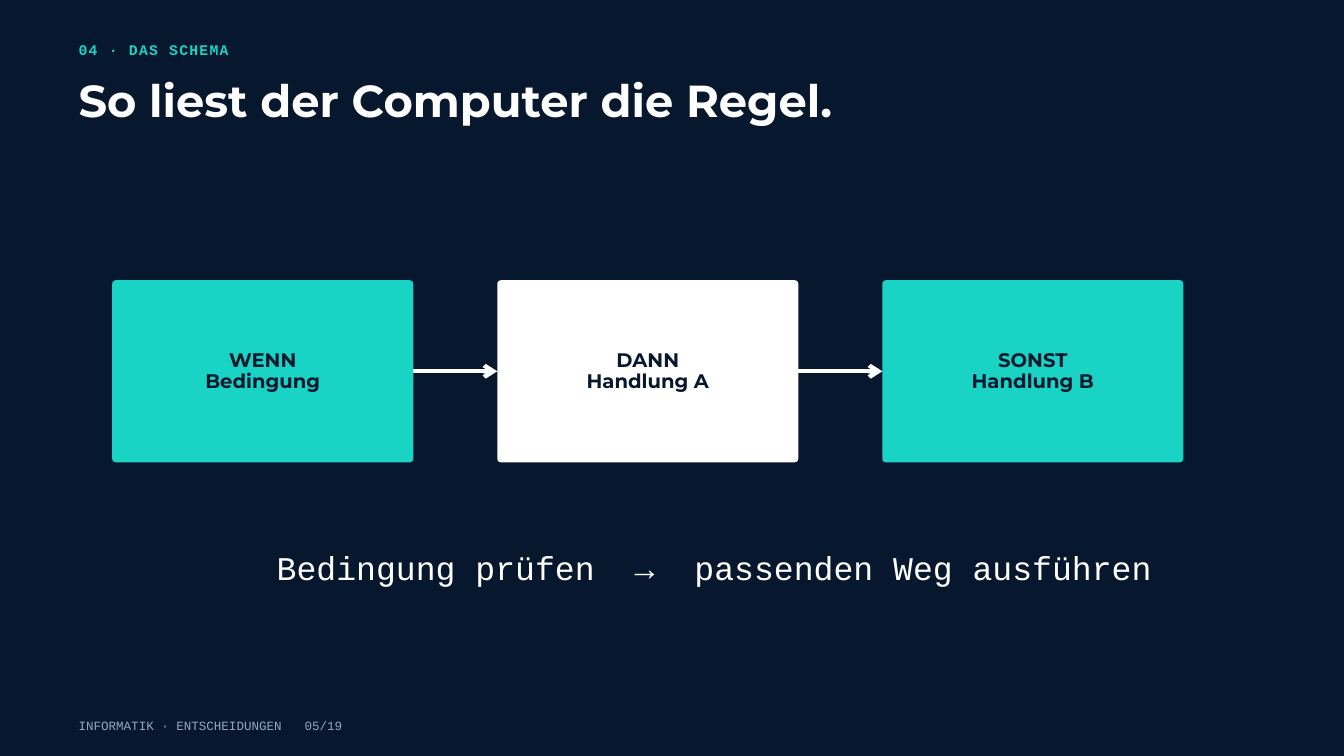
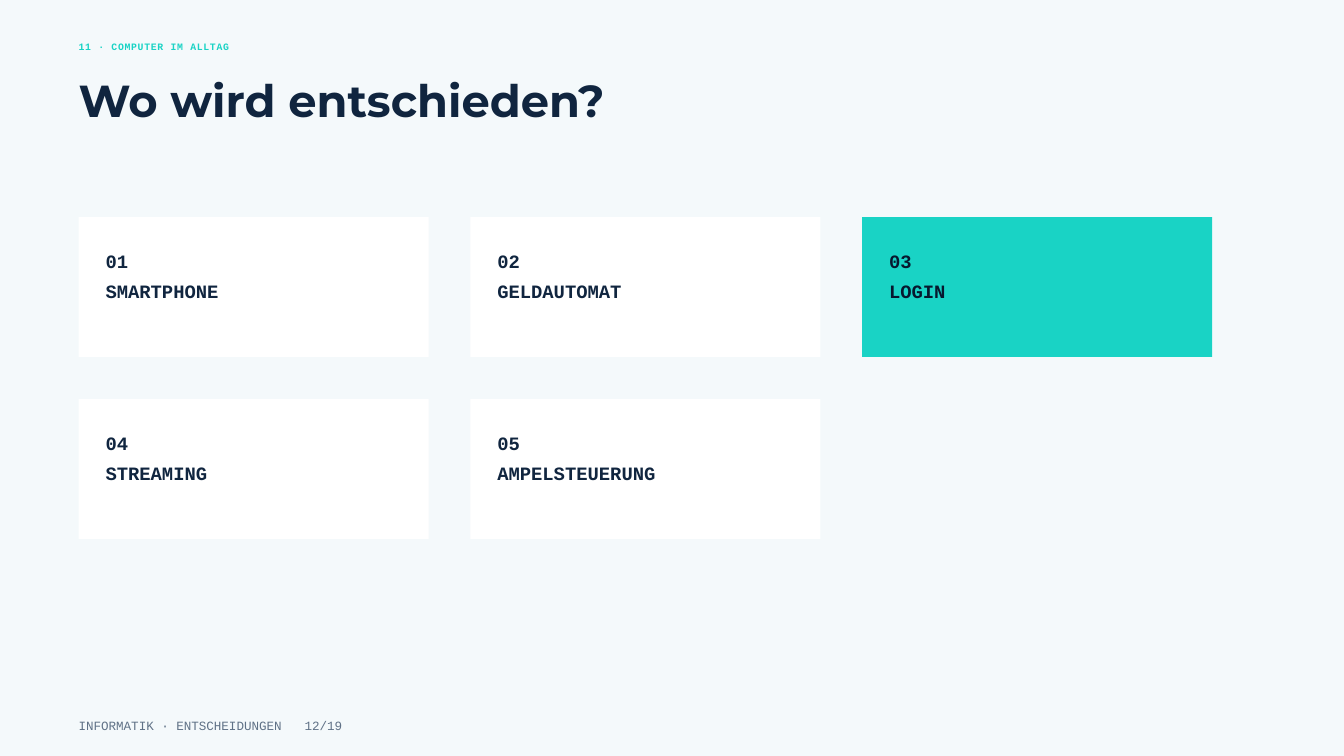
import pptx
import pptx.util
import pptx.dml.color
import pptx.enum.shapes
import pptx.enum.text
from lxml import etree
from pptx.oxml.ns import qn

Inches, Pt = pptx.util.Inches, pptx.util.Pt
RGBColor = pptx.dml.color.RGBColor
MSO_SHAPE = pptx.enum.shapes.MSO_SHAPE
PP_ALIGN = pptx.enum.text.PP_ALIGN
MSO_ANCHOR = pptx.enum.text.MSO_ANCHOR

NAVY = RGBColor(0x07, 0x18, 0x2E)
INK = RGBColor(0x10, 0x25, 0x3F)
TEAL = RGBColor(0x19, 0xD3, 0xC5)
WHITE = RGBColor(0xFF, 0xFF, 0xFF)
PALE = RGBColor(0xF4, 0xF9, 0xFB)
MIST = RGBColor(0x8F, 0xA9, 0xBE)
SLATE = RGBColor(0x5F, 0x71, 0x86)
HEADING_FONT, CODE_FONT = "Montserrat", "Courier New"
LEFT = 1.17


def write(shape, text, *, size, color, leading, font=CODE_FONT, bold=False,
          align=PP_ALIGN.LEFT, anchor=MSO_ANCHOR.TOP, inset=(0, 0),
          tracking=0, gap=0):
    """Fill a shape with one paragraph per line; each | is a space widened by gap points."""
    frame = shape.text_frame
    frame.word_wrap = True
    frame.auto_size = pptx.enum.text.MSO_AUTO_SIZE.NONE
    frame.vertical_anchor = anchor
    frame.margin_left = frame.margin_right = Inches(inset[0])
    frame.margin_top = frame.margin_bottom = Inches(inset[1])
    for index, line in enumerate(text.split("\n")):
        paragraph = frame.add_paragraph() if index else frame.paragraphs[0]
        paragraph.alignment = align
        paragraph.line_spacing = Pt(leading)
        paragraph.space_before = paragraph.space_after = Pt(0)
        for part_index, part in enumerate(line.split("|")):
            pieces = [(" ", gap)] if part_index else []
            for piece, spacing in pieces + [(part, tracking)]:
                run = paragraph.add_run()
                run.text = piece
                run.font.name, run.font.size = font, Pt(size)
                run.font.bold, run.font.color.rgb = bold, color
                if spacing:
                    run.font._element.set("spc", str(round(spacing * 100)))


def add_card(slide, kind, left, top, width, height, color):
    card = slide.shapes.add_shape(kind, Inches(left), Inches(top), Inches(width), Inches(height))
    card.shadow.inherit = False
    card.fill.solid()
    card.fill.fore_color.rgb = color
    card.line.fill.background()
    return card


deck = pptx.Presentation()
deck.slide_width, deck.slide_height = Inches(20), Inches(11.25)

# Shared frame: background, section label, title and footer
frames = [
    dict(background=NAVY, section="04 · DAS SCHEMA", section_size=15.8, section_leading=22,
         tracking=1.3, title="So liest der Computer die Regel.", title_color=WHITE,
         number="05/19", footer_color=MIST),
    dict(background=PALE, section="11 · COMPUTER IM ALLTAG", section_size=10.5,
         section_leading=14.7, tracking=0.8, title="Wo wird entschieden?",
         title_color=INK, number="12/19", footer_color=SLATE),
]
slides = []
for frame in frames:
    slide = deck.slides.add_slide(deck.slide_layouts[5])
    slide.background.fill.solid()
    slide.background.fill.fore_color.rgb = frame["background"]

    section = slide.shapes.add_textbox(Inches(LEFT), Inches(0.57), Inches(2.3), Inches(0.29))
    write(section, frame["section"], size=frame["section_size"], color=TEAL, bold=True,
          leading=frame["section_leading"], tracking=frame["tracking"])

    title = slide.shapes.title
    title.left, title.top = Inches(LEFT), Inches(1.16)
    title.width, title.height = Inches(15.62), Inches(0.73)
    write(title, frame["title"], size=48, color=frame["title_color"], leading=51.8,
          font=HEADING_FONT, bold=True)

    footer = slide.shapes.add_textbox(Inches(LEFT), Inches(10.64), Inches(7.29), Inches(0.25))
    write(footer, "INFORMATIK · ENTSCHEIDUNGEN|" + frame["number"], size=13.5,
          color=frame["footer_color"], leading=18.9, gap=16.2)
    slides.append(slide)

schema, everyday = slides

# Slide 1: condition and the two actions, joined by arrows
STEP_LEFT, STEP_TOP, STEP_WIDTH, STEP_HEIGHT, STEP_GAP = 1.67, 4.17, 4.48, 2.71, 1.25
steps = [("WENN\nBedingung", TEAL), ("DANN\nHandlung A", WHITE), ("SONST\nHandlung B", TEAL)]
for index, (label, color) in enumerate(steps):
    left = STEP_LEFT + index * (STEP_WIDTH + STEP_GAP)
    step = add_card(schema, MSO_SHAPE.ROUNDED_RECTANGLE, left, STEP_TOP,
                    STEP_WIDTH, STEP_HEIGHT, color)
    step.adjustments[0] = 0.02
    write(step, label, size=21, color=NAVY, leading=23.1, font=HEADING_FONT, bold=True,
          align=PP_ALIGN.CENTER, anchor=MSO_ANCHOR.MIDDLE, inset=(0.06, 0.06))
    if index:
        middle = Inches(STEP_TOP + STEP_HEIGHT / 2)
        arrow = schema.shapes.add_connector(pptx.enum.shapes.MSO_CONNECTOR.STRAIGHT,
                                            Inches(left - STEP_GAP), middle, Inches(left), middle)
        arrow.line.color.rgb = WHITE
        arrow.line.width = Pt(4.5)
        etree.SubElement(arrow.line._get_or_add_ln(), qn("a:tailEnd"), type="arrow")
        etree.SubElement(arrow._element.spPr, qn("a:effectLst"))

summary = schema.shapes.add_textbox(Inches(3.65), Inches(8.05), Inches(13.96), Inches(0.66))
write(summary, "Bedingung prüfen|→|passenden Weg ausführen", size=35.5, color=WHITE,
      leading=49.7, align=PP_ALIGN.CENTER, gap=21.3)

# Slide 2: numbered examples in three columns
COLUMNS, COLUMN_PITCH, ROW_PITCH = 3, 5.83, 2.71
examples = ["SMARTPHONE", "GELDAUTOMAT", "LOGIN", "STREAMING", "AMPELSTEUERUNG"]
for index, example in enumerate(examples):
    row, column = divmod(index, COLUMNS)
    highlighted = example == "LOGIN"
    card = add_card(everyday, MSO_SHAPE.RECTANGLE, LEFT + column * COLUMN_PITCH,
                    3.23 + row * ROW_PITCH, 5.21, 2.08, TEAL if highlighted else WHITE)
    write(card, f"{index + 1:02}\n{example}", size=20.2, color=NAVY if highlighted else INK,
          leading=32.4, bold=True, inset=(0.4, 0.37))

deck.save("out.pptx")
